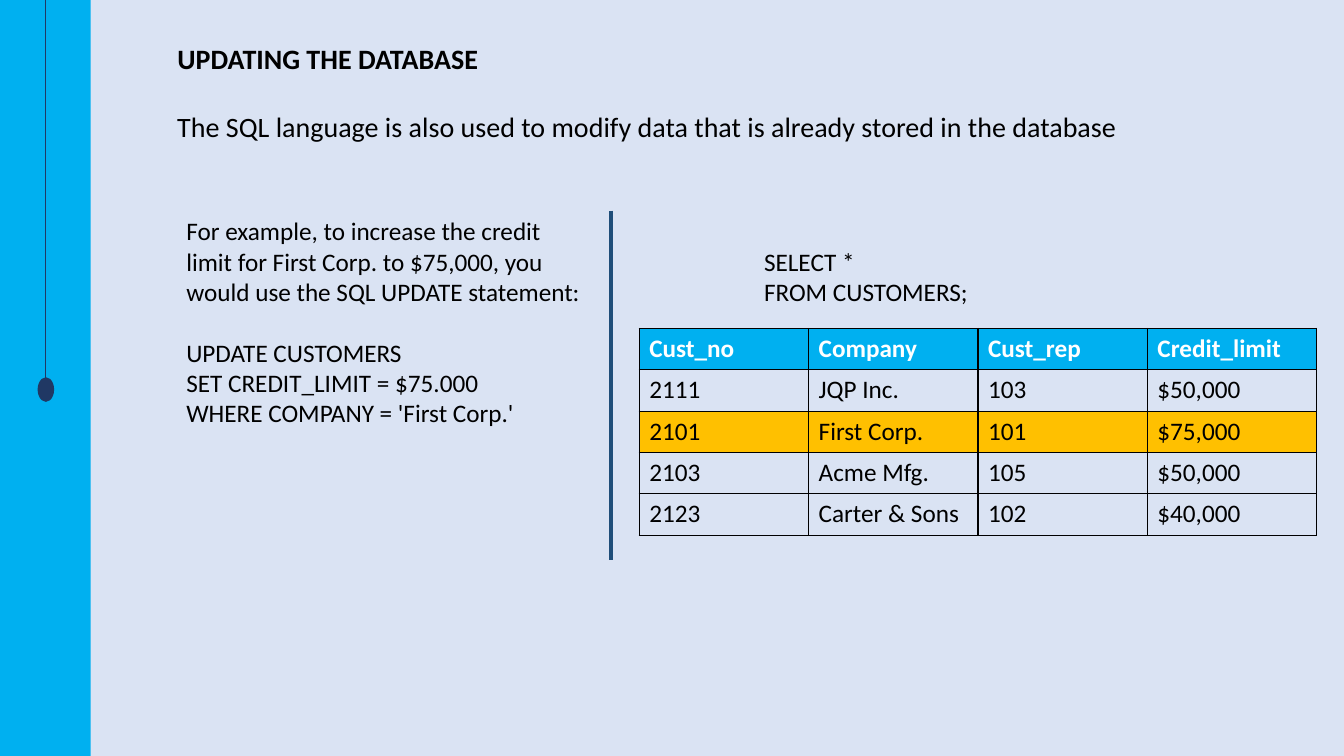
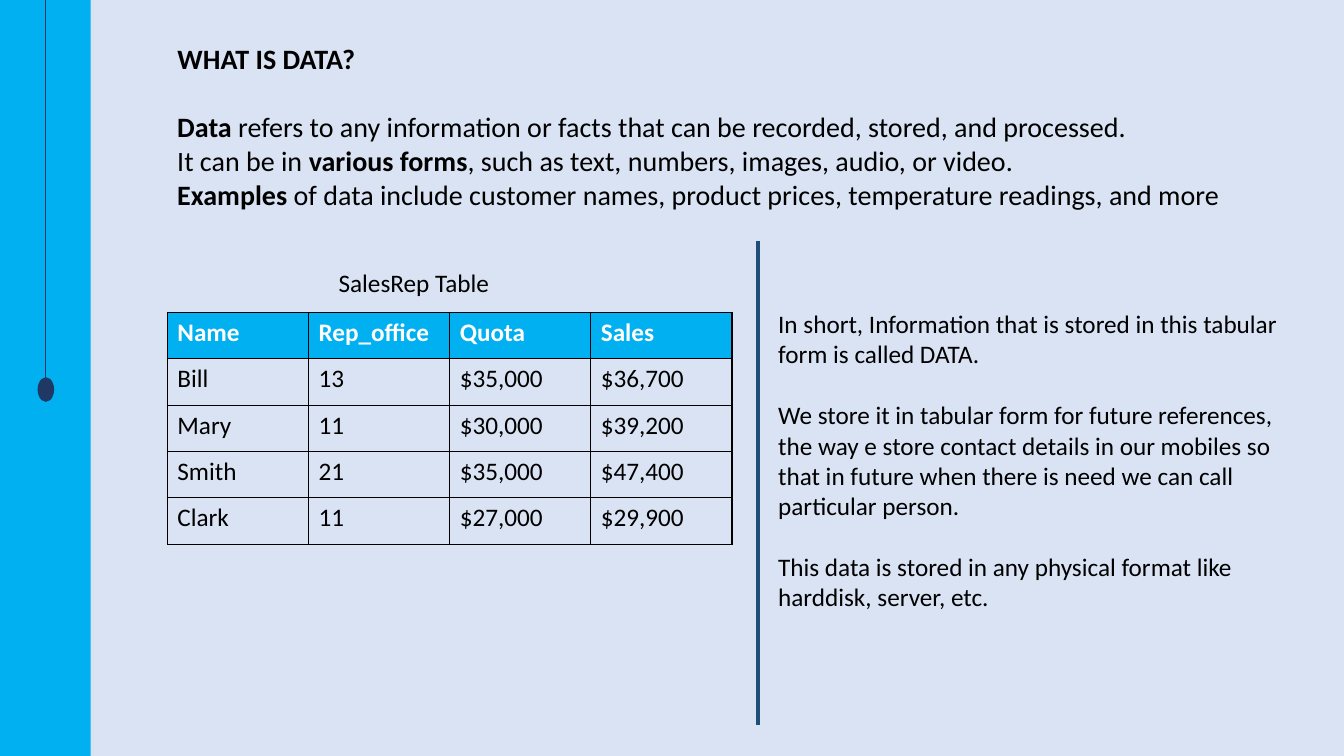
from dataclasses import dataclass

from lxml import etree
from pptx import Presentation
from pptx.dml.color import RGBColor
from pptx.dml.fill import FillFormat
from pptx.enum import shapes, text as txt
from pptx.oxml import ns
from pptx.slide import Slide
from pptx.text import text as tx
from pptx.util import Inches, Pt

PALE, CYAN, NAVY, BLUE = "DAE3F3", "00B0F0", "203864", "1F4E79"
GOLD, BLACK, WHITE = "FFC000", "000000", "FFFFFF"
FONT = "Calibri"
LEADING = 1.22


@dataclass(frozen=True)
class Note:
    left: float
    top: float
    width: float
    height: float
    words: str
    size: int = 18


@dataclass(frozen=True)
class Rule:
    x: float
    top: float
    end: float
    color: str = BLUE
    weight: float = 3


@dataclass(frozen=True)
class Grid:
    left: float
    top: float
    col: float
    row: float
    cells: tuple[tuple[str, ...], ...]
    marked: int = -1


@dataclass(frozen=True)
class Page:
    title: str
    notes: tuple[Note, ...]
    rule: Rule
    grid: Grid


def paint(fill: FillFormat, color: str) -> None:
    fill.solid()
    fill.fore_color.rgb = RGBColor.from_string(color)


def write(frame: tx.TextFrame, words: str, *, size: int = 18,
          color: str = BLACK, bold: bool = False) -> None:
    """Blank lines open a gap; bars switch bold on and off."""
    frame.word_wrap = True
    para = frame.paragraphs[0]
    for b, block in enumerate(words.split("\n\n")):
        for n, line in enumerate(block.split("\n")):
            if b or n:
                para = frame.add_paragraph()
            para.alignment = txt.PP_ALIGN.LEFT
            para.space_before = Pt(round(size * LEADING) if b and not n else 0)
            for i, part in enumerate(line.split("|")):
                if part:
                    run = para.add_run()
                    run.text = part
                    run.font.name, run.font.size = FONT, Pt(size)
                    run.font.bold = bold or i % 2 == 1
                    paint(run.font.fill, color)


def draw_rule(slide: Slide, rule: Rule) -> None:
    x = Inches(rule.x)
    line = slide.shapes.add_connector(
        shapes.MSO_CONNECTOR.STRAIGHT, x, Inches(rule.top), x, Inches(rule.end))
    paint(line.line.fill, rule.color)
    line.line.width = Pt(rule.weight)
    etree.SubElement(line.element.spPr, ns.qn("a:effectLst"))


def draw_band(slide: Slide) -> None:
    kinds = shapes.MSO_SHAPE
    band = slide.shapes.add_shape(kinds.RECTANGLE, 0, 0, Inches(0.9), Inches(7.5))
    paint(band.fill, CYAN)
    band.line.fill.background()
    draw_rule(slide, Rule(0.45, 0, 3.75, NAVY, 0.5))
    bob = slide.shapes.add_shape(
        kinds.OVAL, Inches(0.38), Inches(3.75), Inches(0.15), Inches(0.23))
    paint(bob.fill, NAVY)
    paint(bob.line.fill, NAVY)
    bob.line.width = Pt(1)
    for shape in (band, bob):
        shape.shadow.inherit = False


def draw_title(slide: Slide, words: str) -> None:
    title = slide.shapes.title
    title.left, title.top = Inches(1.66), Inches(0.36)
    title.width, title.height = Inches(10.9), Inches(0.44)
    frame = title.text_frame
    frame.auto_size = txt.MSO_AUTO_SIZE.NONE
    frame.vertical_anchor = txt.MSO_ANCHOR.TOP
    write(frame, words, size=20, bold=True)


def draw_note(slide: Slide, note: Note) -> None:
    box = slide.shapes.add_textbox(Inches(note.left), Inches(note.top),
                                   Inches(note.width), Inches(note.height))
    write(box.text_frame, note.words, size=note.size)


def draw_grid(slide: Slide, grid: Grid) -> None:
    rows, cols = len(grid.cells), len(grid.cells[0])
    table = slide.shapes.add_table(
        rows, cols, Inches(grid.left), Inches(grid.top),
        Inches(grid.col * cols), Inches(grid.row * rows)).table
    table.horz_banding = table.first_row = False
    for r, values in enumerate(grid.cells):
        for c, value in enumerate(values):
            cell = table.cell(r, c)
            props = cell._tc.get_or_add_tcPr()
            for side in ("a:lnL", "a:lnR", "a:lnT", "a:lnB"):
                edge = etree.SubElement(props, ns.qn(side), w=str(Pt(1)))
                fill = etree.SubElement(edge, ns.qn("a:solidFill"))
                etree.SubElement(fill, ns.qn("a:srgbClr"), val=BLACK)
            if r in (0, grid.marked):
                paint(cell.fill, GOLD if r else CYAN)
            else:
                cell.fill.background()
            write(cell.text_frame, value, color=BLACK if r else WHITE, bold=r == 0)


def lead(words: str, height: float) -> Note:
    return Note(1.66, 1.04, 10.9, height, words, 20)


PAGES = (
    Page(
        "UPDATING THE DATABASE",
        (
            lead("The SQL language is also used to modify data that is already "
                 "stored in the database", 0.44),
            Note(1.75, 2.09, 4.14, 2.22,
                 "For example, to increase the credit limit for First Corp. to "
                 "$75,000, you would use the SQL UPDATE statement:\n\n"
                 "UPDATE CUSTOMERS\nSET CREDIT_LIMIT = $75.000\n"
                 "WHERE COMPANY = 'First Corp.'"),
            Note(7.48, 2.39, 3.94, 0.71, "SELECT *\nFROM CUSTOMERS;"),
        ),
        Rule(6.06, 2.09, 5.56),
        Grid(6.34, 3.26, 1.68, 0.41, (
            ("Cust_no", "Company", "Cust_rep", "Credit_limit"),
            ("2111", "JQP Inc.", "103", "$50,000"),
            ("2101", "First Corp.", "101", "$75,000"),
            ("2103", "Acme Mfg.", "105", "$50,000"),
            ("2123", "Carter & Sons", "102", "$40,000"),
        ), marked=2),
    ),
    Page(
        "WHAT IS DATA?",
        (
            lead("|Data| refers to any information or facts that can be recorded, "
                 "stored, and processed.\nIt can be in |various forms|, such as "
                 "text, numbers, images, audio, or video.\n|Examples| of data "
                 "include customer names, product prices, temperature readings, "
                 "and more", 1.11),
            Note(7.62, 3.01, 5.26, 3.13,
                 "In short, Information that is stored in this tabular form is "
                 "called DATA.\n\nWe store it in tabular form for future "
                 "references, the way e store contact details in our mobiles so "
                 "that in future when there is need we can call particular "
                 "person.\n\nThis data is stored in any physical format like "
                 "harddisk, server, etc."),
            Note(3.26, 2.6, 1.89, 0.4, "SalesRep Table"),
        ),
        Rule(7.52, 2.39, 7.19),
        Grid(1.66, 3.1, 1.4, 0.46, (
            ("Name", "Rep_office", "Quota", "Sales"),
            ("Bill", "13", "$35,000", "$36,700"),
            ("Mary", "11", "$30,000", "$39,200"),
            ("Smith", "21", "$35,000", "$47,400"),
            ("Clark", "11", "$27,000", "$29,900"),
        )),
    ),
)


def main() -> None:
    deck = Presentation()
    deck.slide_width, deck.slide_height = Inches(13.33), Inches(7.5)
    paint(deck.slide_master.background.fill, PALE)
    for page in PAGES:
        slide = deck.slides.add_slide(deck.slide_layouts[5])
        draw_band(slide)
        draw_title(slide, page.title)
        for note in page.notes:
            draw_note(slide, note)
        draw_rule(slide, page.rule)
        draw_grid(slide, page.grid)
    deck.save("out.pptx")


if __name__ == "__main__":
    main()
